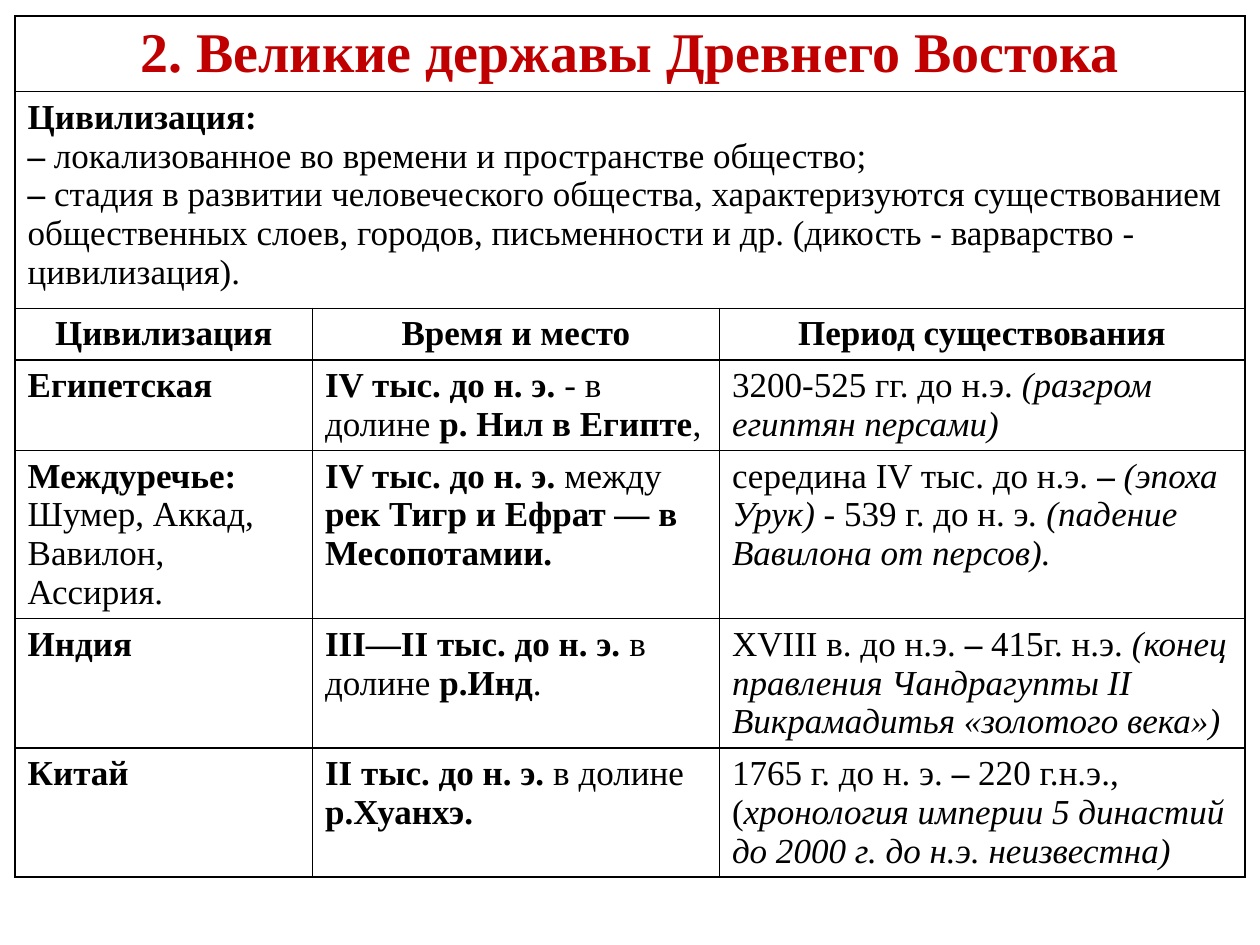
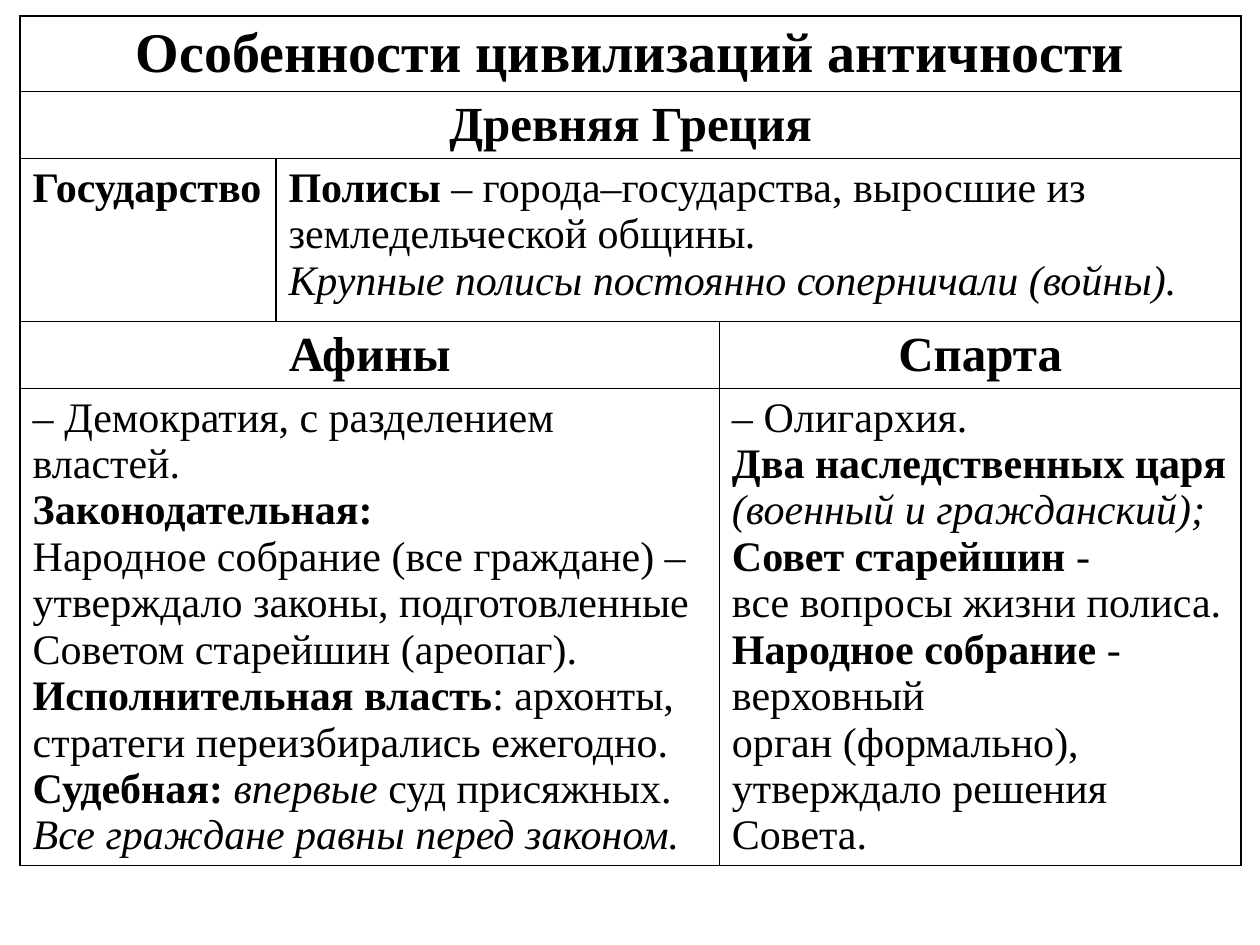
from dataclasses import dataclass

from lxml import etree
from pptx import Presentation
from pptx import util as u
from pptx.dml import color
from pptx.enum import text
from pptx.oxml import ns


@dataclass(frozen=True)
class Theme:
    """Colours, font, type sizes and line width shared by the slides."""
    font: str = "Times New Roman"
    ink: str = "000000"
    accent: str = "C00000"
    paper: str = "FFFFFF"
    title: int = 32
    heading: int = 28
    large: int = 24
    body: int = 20
    border: float = 1


@dataclass(frozen=True)
class Run:
    """A piece of text with one style."""
    words: str
    bold: bool = False
    italic: bool = False


@dataclass(frozen=True)
class Cell:
    """Paragraphs of runs, with the cell's span and type."""
    paragraphs: tuple
    size: int
    span: int = 1
    centred: bool = False
    ink: str = Theme.ink


def b(words):
    """Return a bold run."""
    return Run(words, bold=True)


def i(words):
    """Return an italic run."""
    return Run(words, italic=True)


def n(words):
    """Return a plain run."""
    return Run(words)


def head(words, size, span=1, ink=Theme.ink):
    """Return a centred bold cell."""
    return Cell(((b(words),),), size, span, True, ink)


def body(*paragraphs, size=Theme.body, span=1):
    """Return a left-aligned cell."""
    return Cell(paragraphs, size, span)


def add_run(p, run, cell):
    """Add one styled run, with a line break at each newline."""
    for k, line in enumerate(run.words.split("\n")):
        if k:
            p.add_line_break()
        r = p.add_run()
        r.text = line
        r.font.name = Theme.font
        r.font.size = u.Pt(cell.size)
        r.font.bold, r.font.italic = run.bold, run.italic
        r.font.color.rgb = color.RGBColor.from_string(cell.ink)


def write_cell(target, cell):
    """Write the paragraphs of a cell."""
    tf = target.text_frame
    for k, runs in enumerate(cell.paragraphs):
        p = tf.add_paragraph() if k else tf.paragraphs[0]
        p.alignment = text.PP_ALIGN.CENTER if cell.centred else text.PP_ALIGN.LEFT
        for run in runs:
            add_run(p, run, cell)


def style_cell(target):
    """Give a cell its four borders and its fill."""
    props = target._tc.get_or_add_tcPr()
    for side in ("lnL", "lnR", "lnT", "lnB"):
        line = etree.SubElement(props, ns.qn(f"a:{side}"), w=str(u.Pt(Theme.border)))
        fill = etree.SubElement(line, ns.qn("a:solidFill"))
        etree.SubElement(fill, ns.qn("a:srgbClr"), val=Theme.ink)
    target.fill.solid()
    target.fill.fore_color.rgb = color.RGBColor.from_string(Theme.paper)


def add_grid(prs, left, top, columns, rows):
    """Add a slide with a table; lengths are percentages of the slide."""
    s = prs.slides.add_slide(prs.slide_layouts[6])
    widths = [int(prs.slide_width * c / 100) for c in columns]
    heights = [int(prs.slide_height * h / 100) for h, _ in rows]
    frame = s.shapes.add_table(
        len(rows), len(columns), int(prs.slide_width * left / 100),
        int(prs.slide_height * top / 100), sum(widths), sum(heights))
    table = frame.table
    table.first_row = table.horz_banding = False
    for column, width in zip(table.columns, widths):
        column.width = width
    for target in table.iter_cells():
        style_cell(target)
    for y, (_, cells) in enumerate(rows):
        table.rows[y].height = heights[y]
        x = 0
        for cell in cells:
            target = table.cell(y, x)
            if cell.span > 1:
                target.merge(table.cell(y, x + cell.span - 1))
            write_cell(target, cell)
            x += cell.span


def add_east(prs):
    """Add the slide on the powers of the Ancient East."""
    definition = body(
        (b("Цивилизация:"),),
        (b("–"), n(" локализованное во времени и пространстве общество;")),
        (b("– "), n("стадия в развитии человеческого общества, характеризуются "
                    "существованием общественных слоев, городов, письменности и др. "
                    "(дикость - варварство - цивилизация).")), span=3)
    columns = [head(words, Theme.body) for words in
               ("Цивилизация", "Время и место", "Период существования")]
    egypt = (
        body((b("Египетская"),)),
        body((b("IV тыс. до н. э. "), n("- в долине "), b("р. Нил в Египте"), n(","))),
        body((n("3200-525 гг. до н.э. "), i("(разгром египтян персами)"))))
    mesopotamia = (
        body((b("Междуречье: "), n("Шумер, Аккад, Вавилон,")), (n("Ассирия."),)),
        body((b("IV тыс. до н. э. "), n("между "),
              b("рек Тигр и Ефрат — в Месопотамии."))),
        body((n("середина IV тыс. до н.э. "), b("– "), i("(эпоха Урук) "),
              n("- 539 г. до н. э"), i(". (падение Вавилона от персов)."))))
    india = (
        body((b("Индия"),)),
        body((b("III—II тыс. до н. э. "), n("в долине "), b("р.Инд"), n("."))),
        body((n("XVIII в. до н.э."), b(" – "), n("415г. н.э. "),
              i("(конец правления Чандрагупты II Викрамадитья «золотого века»)"))))
    china = (
        body((b("Китай"),)),
        body((b("II тыс. до н. э."), n(" в долине "), b("р.Хуанхэ."))),
        body((n("1765 г. до н. э."), b(" – "), n("220 г.н.э., ("),
              i("хронология империи 5 династий до 2000 г. до н.э. неизвестна)"))))
    add_grid(prs, 1.2, 1.7, (23.6, 32.3, 41.7), (
        (8, [head("2. Великие державы Древнего Востока", Theme.title, 3, Theme.accent)]),
        (22.93, [definition]),
        (5.43, columns),
        (9.6, egypt),
        (17.8, mesopotamia),
        (13.65, india),
        (13.65, china)))


def add_antiquity(prs):
    """Add the slide on the civilisations of antiquity."""
    polis = body(
        (b("Полисы"), n(" – города–государства, выросшие из земледельческой общины"),
         i(".")),
        (i("Крупные полисы постоянно соперничали (войны)."),),
        size=Theme.large, span=2)
    athens = body(
        (n("– Демократия, с разделением властей."),),
        (b("Законодательная:"),),
        (n("Народное собрание (все граждане) – утверждало законы, "
           "подготовленные Советом старейшин (ареопаг)."),),
        (b("Исполнительная власть"),
         n(": архонты, стратеги переизбирались ежегодно.")),
        (b("Судебная: "), i("впервые "), n("суд присяжных. "),
         i("Все граждане равны перед законом.")),
        size=Theme.large, span=2)
    sparta = body(
        (n("– Олигархия."),),
        (b("Два наследственных царя "), i("(военный и гражданский);")),
        (b("Совет старейшин"), n(" -")),
        (n("все вопросы жизни полиса."),),
        (b("Народное собрание "),
         n("- верховный \nорган (формально), утверждало решения Совета.")),
        size=Theme.large)
    add_grid(prs, 1.6, 1.7, (20.3, 35.2, 41.4), (
        (8, [head("Особенности цивилизаций античности", Theme.title, 3)]),
        (7.1, [head("Древняя Греция", Theme.heading, 3)]),
        (17.2, [body((b("Государство"),), size=Theme.large), polis]),
        (7.1, [head("Афины", Theme.heading, 2), head("Спарта", Theme.heading)]),
        (50.5, [athens, sparta])))


def main():
    """Build and save the presentation."""
    prs = Presentation()
    prs.slide_width, prs.slide_height = u.Inches(10), u.Inches(7.5)
    add_east(prs)
    add_antiquity(prs)
    prs.save("out.pptx")


if __name__ == "__main__":
    main()
